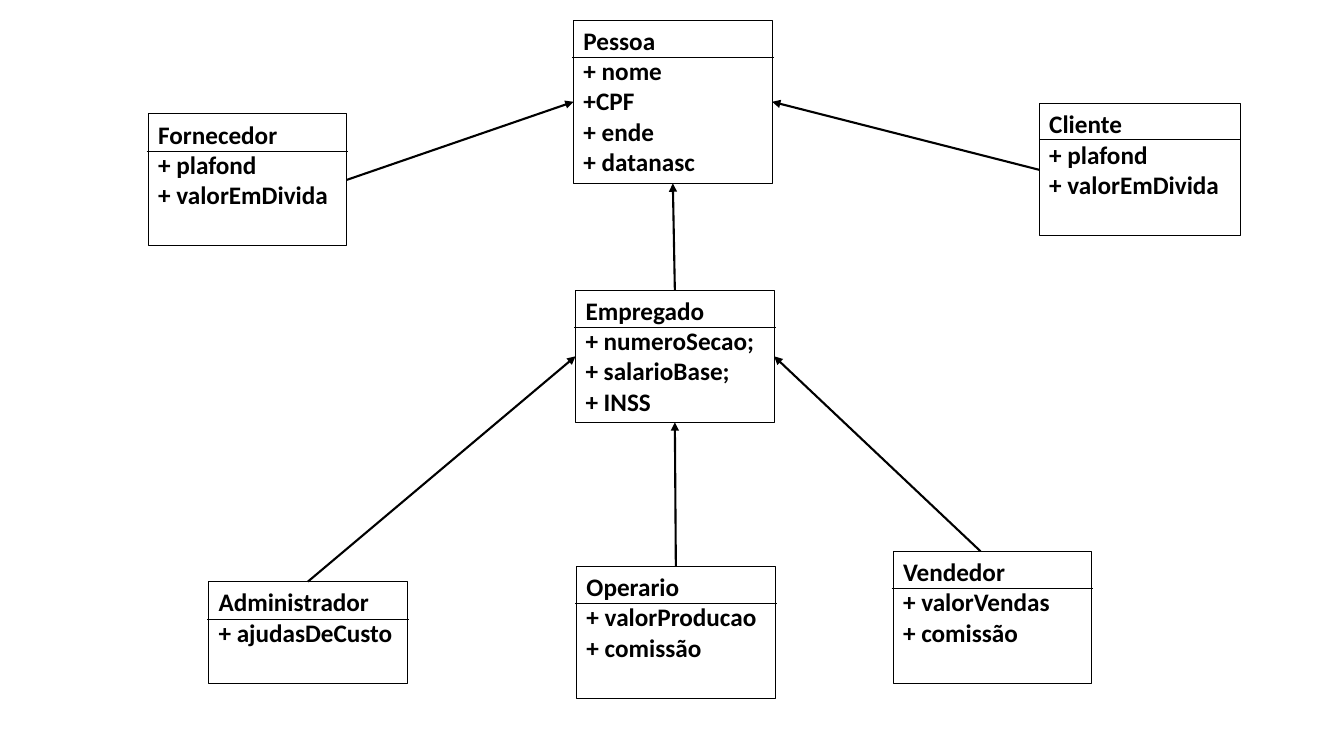
from dataclasses import dataclass
from pptx import Presentation, util as u
from pptx.dml.color import RGBColor
from pptx.enum import shapes, text
from pptx.oxml.ns import qn
from lxml import etree

INK = {"black": "000000"}
TOP, LEFT, BASE, RIGHT = range(4)
RULE = 6

deck = Presentation()
deck.slide_width, deck.slide_height = u.Inches(13.33), u.Inches(7.5)
slide = deck.slides.add_slide(deck.slide_layouts[6])
COL, ROW = deck.slide_width / 40, deck.slide_height / 30


@dataclass
class Entity:
    name: str
    fields: list[str]
    x: float
    y: float
    high: float = 5.24
    wide: float = 5.91
    head: float = 1.48


@dataclass
class Link:
    child: str
    start: int
    parent: str
    end: int
    shift: float = 0


def cols(n: float) -> int:
    return round(n * COL)


def rows(n: float) -> int:
    return round(n * ROW)


def black() -> RGBColor:
    return RGBColor.from_string(INK["black"])


def add_line(x1: int, y1: int, x2: int, y2: int, size: float):
    line = slide.shapes.add_connector(shapes.MSO_CONNECTOR.STRAIGHT, x1, y1, x2, y2)
    line.line.color.rgb = black()
    line.line.width = u.Pt(size)
    etree.SubElement(line._element.spPr, qn("a:effectLst"))
    return line


def add_entity(item: Entity):
    box = slide.shapes.add_shape(shapes.MSO_SHAPE.RECTANGLE, cols(item.x), rows(item.y),
                                 cols(item.wide), rows(item.high))
    box.shadow.inherit = False
    box.fill.background()
    box.line.color.rgb = black()
    box.line.width = u.Pt(0.75)
    frame = box.text_frame
    frame.word_wrap = True
    frame.vertical_anchor = text.MSO_ANCHOR.TOP
    frame.text = "\n".join([item.name, *item.fields])
    for par in frame.paragraphs:
        par.alignment = text.PP_ALIGN.LEFT
        par.font.name, par.font.size, par.font.bold = "Calibri", u.Pt(18), True
        par.font.color.rgb = black()
    left, level = item.x + (item.wide - RULE) / 2, rows(item.y + item.head)
    add_line(cols(left), level, cols(left + RULE), level, 0.5)
    return box


def add_link(link: Link, boxes: dict) -> None:
    line = add_line(0, 0, 0, 0, 1.5)
    line.begin_connect(boxes[link.child], link.start)
    line.end_connect(boxes[link.parent], link.end)
    if link.shift:
        start = line.begin_x + cols(link.shift), line.begin_y
        end = line.end_x, line.end_y
        line._element.getparent().remove(line._element)
        line = add_line(*start, *end, 1.5)
    tail = etree.SubElement(line.line._get_or_add_ln(), qn("a:tailEnd"))
    tail.set("type", "triangle")


ENTITIES = [
    Entity("Pessoa", ["+ nome", "+CPF", "+ ende", "+ datanasc"], 17.07, 0.8, high=6.48),
    Entity("Administrador", ["+ ajudasDeCusto"], 6.21, 23.08, high=4.04),
    Entity("Cliente", ["+ plafond", "+ valorEmDivida"], 30.93, 4.12, wide=6, head=1.4),
    Entity("Empregado", ["+ numeroSecao;", "+ salarioBase;", "+ INSS"], 17.13, 11.52),
    Entity("Vendedor", ["+ valorVendas", "+ comissão"], 26.58, 21.88),
    Entity("Operario", ["+ valorProducao", "+ comissão"], 17.16, 22.48),
    Entity("Fornecedor", ["+ plafond", "+ valorEmDivida"], 4.41, 4.52),
]
LINKS = [
    Link("Empregado", TOP, "Pessoa", BASE),
    Link("Administrador", TOP, "Empregado", LEFT),
    Link("Cliente", LEFT, "Pessoa", RIGHT),
    Link("Fornecedor", RIGHT, "Pessoa", LEFT),
    Link("Operario", TOP, "Empregado", BASE),
    Link("Vendedor", TOP, "Empregado", RIGHT, shift=-0.35),
]

boxes = {item.name: add_entity(item) for item in ENTITIES}
for link in LINKS:
    add_link(link, boxes)
deck.save("out.pptx")
